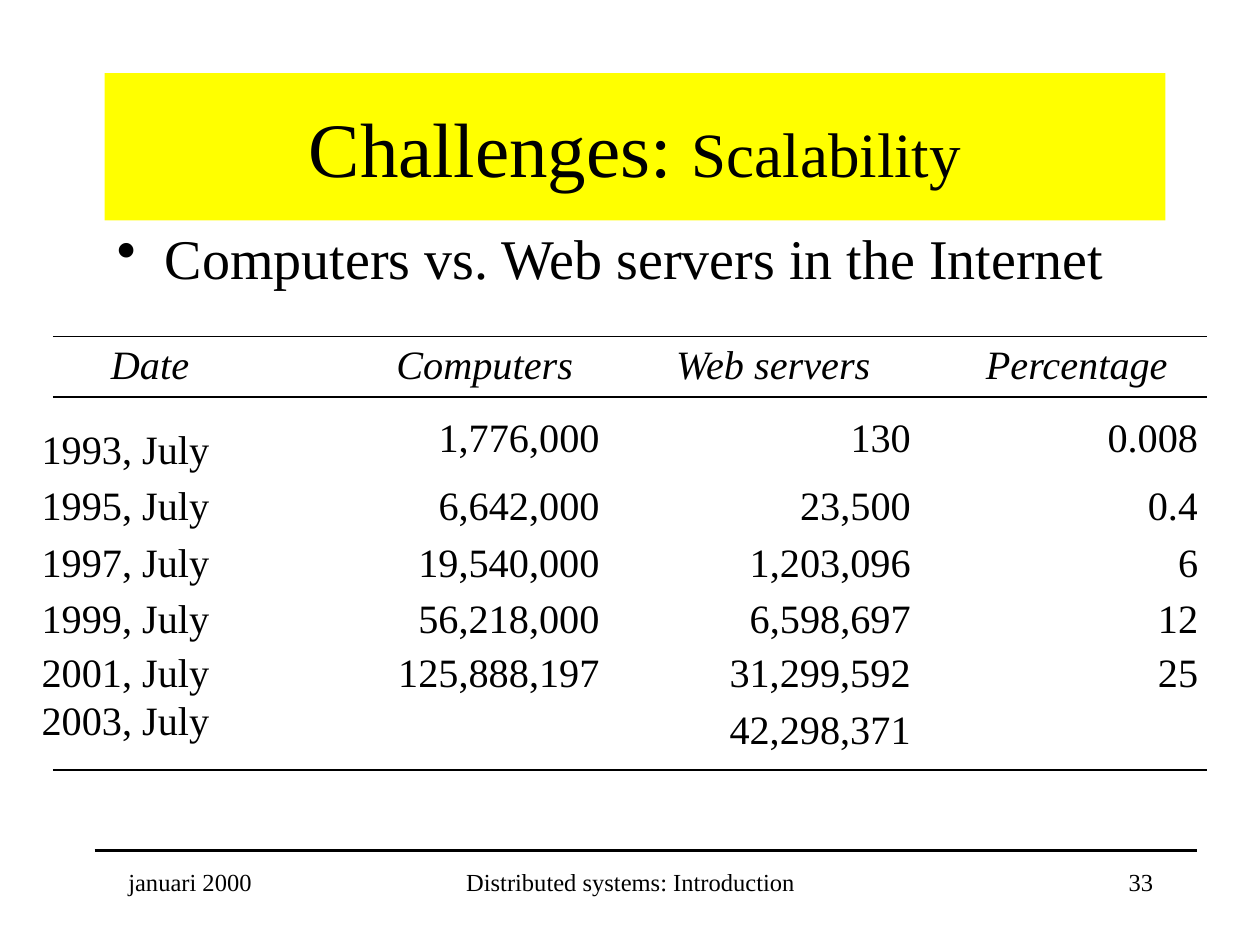
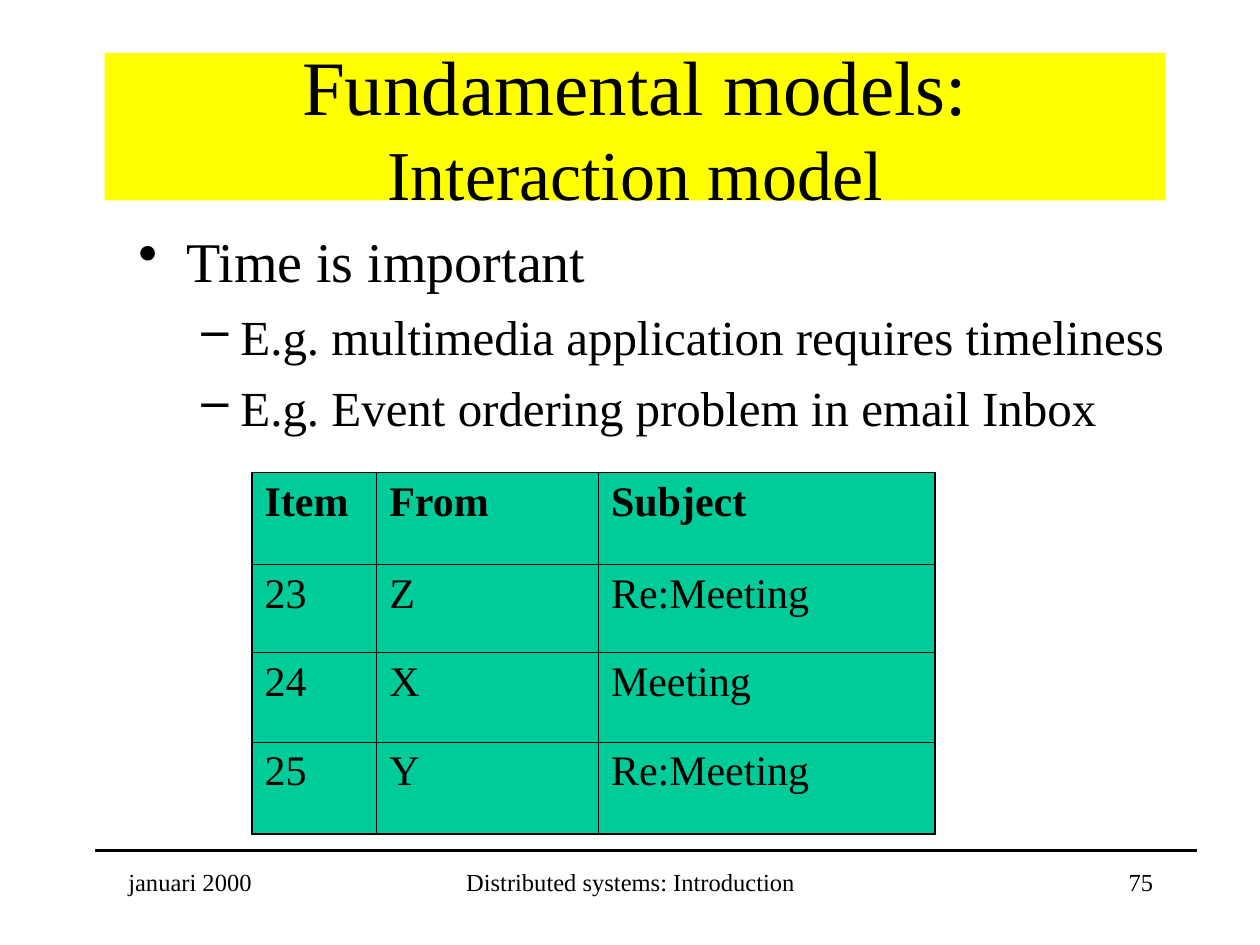
from dataclasses import dataclass

from lxml import etree
from pptx import Presentation
from pptx.dml.color import RGBColor
from pptx.enum.shapes import MSO_CONNECTOR
from pptx.enum.text import MSO_ANCHOR, MSO_AUTO_SIZE, PP_ALIGN
from pptx.oxml.ns import qn
from pptx.util import Inches, Pt

LEFT, CENTER, RIGHT = PP_ALIGN.LEFT, PP_ALIGN.CENTER, PP_ALIGN.RIGHT
MIDDLE = MSO_ANCHOR.MIDDLE
NO_AUTOFIT = MSO_AUTO_SIZE.NONE
STRAIGHT = MSO_CONNECTOR.STRAIGHT
TITLE_ONLY = 5


@dataclass(frozen=True)
class Theme:
    font: str = "Times New Roman"
    ink: str = "000000"
    title_band: str = "FFFF00"
    inbox_fill: str = "00CC99"
    title_size: int = 44
    bullet_sizes: tuple = (32, 28)
    statistics_size: int = 23
    inbox_size: int = 24
    footer_size: int = 14
    footer_rule: float = 1.5
    statistics_rule: float = 1
    thick_border: float = 1.08
    thin_border: float = 0.45


BULLETS = (("•", 0.38, -0.38, 0), ("–", 0.81, -0.31, 7))
FOOTER_BOXES = ((0.92, 2.08, LEFT), (3.42, 3.17, CENTER), (7.17, 2.08, RIGHT))

STATISTICS = (
    ("Date", "Computers", "Web servers", "Percentage"),
    ("1993, July", "1,776,000", "130", "0.008"),
    ("1995, July", "6,642,000", "23,500", "0.4"),
    ("1997, July", "19,540,000", "1,203,096", "6"),
    ("1999, July", "56,218,000", "6,598,697", "12"),
    ("2001, July", "125,888,197", "31,299,592", "25"),
    ("2003, July", "", "42,298,371", ""),
)
STATISTICS_WIDTHS = (2, 2.43, 2.47, 2.28)
STATISTICS_HEIGHTS = (0.58, 0.54, 0.45, 0.44, 0.43, 0.38, 0.45)
STATISTICS_RULES = (2.67, 3.15, 6.11)
HEADER_INSETS = (0.55, 0.21, 0.32, 0.24)
TOP_INSETS = {(1, 0): 0.09, (6, 2): 0.07}

INBOX = (
    ("Item", "From", "Subject"),
    ("23", "Z", "Re:Meeting"),
    ("24", "X", "Meeting"),
    ("25", "Y", "Re:Meeting"),
)
INBOX_WIDTHS = (0.99, 1.76, 2.67)
INBOX_HEIGHTS = (0.73, 0.7, 0.71, 0.73)


class Deck:
    def __init__(self, theme):
        self.theme = theme
        self.presentation = Presentation()
        self.presentation.slide_width = Inches(10)
        self.presentation.slide_height = Inches(7.5)
        self.slide = None

    def add_slide(self, title_top, title_lines, number):
        layout = self.presentation.slide_layouts[TITLE_ONLY]
        self.slide = self.presentation.slides.add_slide(layout)
        self.title(title_top, title_lines)
        self.rule(0.75, 9.5, 6.75, self.theme.footer_rule)
        texts = ("januari 2000", "Distributed systems: Introduction", number)
        for (left, width, alignment), text in zip(FOOTER_BOXES, texts):
            paragraph = self.text_frame(left, 6.83, width, 0.5).paragraphs[0]
            paragraph.alignment = alignment
            self.run(paragraph, text, self.theme.footer_size)

    def run(self, paragraph, text, size, bold=False, italic=False):
        run = paragraph.add_run()
        run.text = text
        run.font.name = self.theme.font
        run.font.size = Pt(size)
        run.font.bold = bold
        run.font.italic = italic
        run.font.color.rgb = RGBColor.from_string(self.theme.ink)

    def title(self, top, lines):
        shape = self.slide.shapes.title
        shape.left, shape.top = Inches(0.83), Inches(top)
        shape.width, shape.height = Inches(8.42), Inches(1.17)
        shape.fill.solid()
        shape.fill.fore_color.rgb = RGBColor.from_string(self.theme.title_band)
        frame = shape.text_frame
        frame.auto_size = NO_AUTOFIT
        frame.vertical_anchor = MIDDLE
        paragraph = frame.paragraphs[0]
        paragraph.alignment = CENTER
        for index, line in enumerate(lines):
            if index:
                paragraph.add_line_break()
            for text, size in line:
                self.run(paragraph, text, size)

    def text_frame(self, left, top, width, height):
        shape = self.slide.shapes.add_textbox(
            Inches(left), Inches(top), Inches(width), Inches(height))
        shape.text_frame.word_wrap = True
        return shape.text_frame

    def bullets(self, left, top, height, items, line_spacing=1.0):
        frame = self.text_frame(left, top, 8.42, height)
        for index, (level, text) in enumerate(items):
            paragraph = frame.add_paragraph() if index else frame.paragraphs[0]
            character, margin, indent, space = BULLETS[level]
            properties = paragraph._p.get_or_add_pPr()
            properties.set("marL", str(Inches(margin)))
            properties.set("indent", str(Inches(indent)))
            etree.SubElement(properties, qn("a:buChar"), char=character)
            paragraph.level = level
            paragraph.line_spacing = line_spacing
            paragraph.space_before = Pt(space)
            self.run(paragraph, text, self.theme.bullet_sizes[level])

    def rule(self, start, end, top, width):
        connector = self.slide.shapes.add_connector(
            STRAIGHT, Inches(start), Inches(top), Inches(end), Inches(top))
        connector.line.color.rgb = RGBColor.from_string(self.theme.ink)
        connector.line.width = Pt(width)
        etree.SubElement(connector._element.spPr, qn("a:effectLst"))

    def table(self, left, top, widths, heights):
        frame = self.slide.shapes.add_table(
            len(heights), len(widths), Inches(left), Inches(top),
            Inches(sum(widths)), Inches(sum(heights)))
        table = frame.table
        table.first_row = table.horz_banding = False
        for column, width in zip(table.columns, widths):
            column.width = Inches(width)
        for row, height in zip(table.rows, heights):
            row.height = Inches(height)
        return table

    def border(self, cell, side, width):
        line = etree.SubElement(
            cell._tc.get_or_add_tcPr(), qn(f"a:ln{side}"), w=str(Pt(width)))
        fill = etree.SubElement(line, qn("a:solidFill"))
        etree.SubElement(fill, qn("a:srgbClr"), val=self.theme.ink)

    def statistics_table(self):
        table = self.table(0.33, 2.73, STATISTICS_WIDTHS, STATISTICS_HEIGHTS)
        for row, values in enumerate(STATISTICS):
            for column, text in enumerate(values):
                cell = table.cell(row, column)
                cell.fill.background()
                inset = Inches(HEADER_INSETS[column] if row == 0 else 0)
                cell.margin_left = inset if column == 0 else 0
                cell.margin_right = inset if column else 0
                cell.margin_top = Inches(TOP_INSETS.get((row, column), 0))
                cell.margin_bottom = 0
                paragraph = cell.text_frame.paragraphs[0]
                paragraph.alignment = RIGHT if column else LEFT
                if text:
                    self.run(paragraph, text, self.theme.statistics_size,
                             italic=row == 0)
        for top in STATISTICS_RULES:
            self.rule(0.42, 9.58, top, self.theme.statistics_rule)

    def inbox_table(self):
        table = self.table(2, 3.75, INBOX_WIDTHS, INBOX_HEIGHTS)
        last_row, last_column = len(INBOX) - 1, len(INBOX_WIDTHS) - 1
        for row, values in enumerate(INBOX):
            for column, text in enumerate(values):
                cell = table.cell(row, column)
                thick_sides = {
                    "L": column == 0,
                    "R": column == last_column,
                    "T": row <= 1,
                    "B": row in (0, last_row),
                }
                for side, thick in thick_sides.items():
                    self.border(cell, side, self.theme.thick_border if thick
                                else self.theme.thin_border)
                cell.fill.solid()
                cell.fill.fore_color.rgb = RGBColor.from_string(
                    self.theme.inbox_fill)
                self.run(cell.text_frame.paragraphs[0], text,
                         self.theme.inbox_size, bold=row == 0)


def main():
    theme = Theme()
    deck = Deck(theme)

    deck.add_slide(
        0.58, [[("Challenges: ", theme.title_size), ("Scalability", 36)]], "33")
    deck.bullets(0.83, 1.83, 4.83,
                 [(0, "Computers vs. Web servers in the Internet")], 0.8)
    deck.statistics_table()

    deck.add_slide(
        0.42, [[("Fundamental models:", theme.title_size)],
               [("Interaction model", 40)]], "75")
    deck.bullets(1, 1.75, 5.08, [
        (0, "Time is important"),
        (1, "E.g. multimedia application requires timeliness"),
        (1, "E.g. Event ordering problem in email Inbox"),
    ])
    deck.inbox_table()

    deck.presentation.save("out.pptx")


if __name__ == "__main__":
    main()
